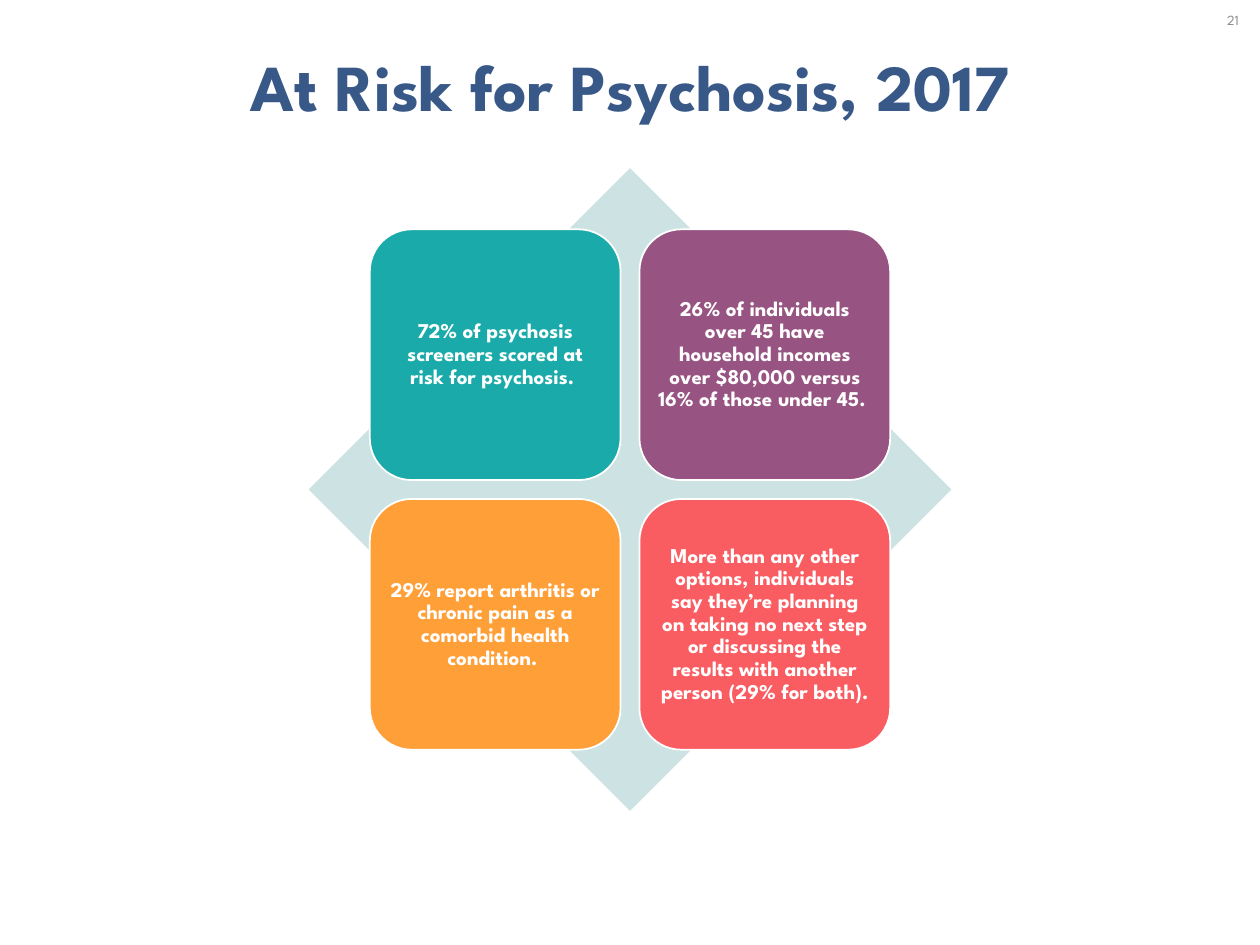
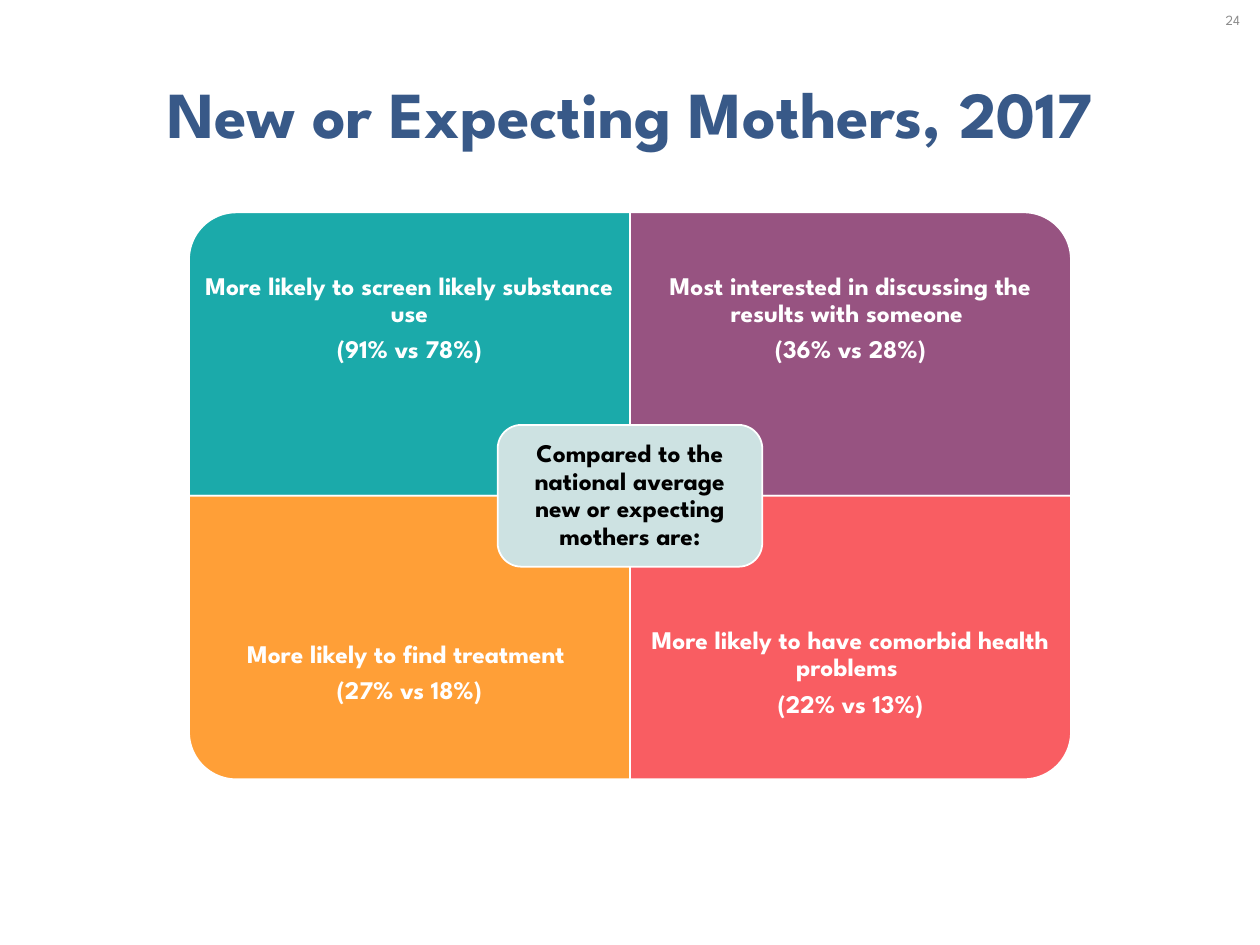
from pptx import Presentation
from pptx.dml.color import RGBColor
from pptx.enum.shapes import MSO_SHAPE
from pptx.enum.text import MSO_ANCHOR, PP_ALIGN
from pptx.util import Inches, Pt

# Shared style
COLOURS = {
    "title": "385988", "number": "8C8C8C", "pale": "CDE2E2",
    "teal": "1BAAAA", "plum": "975381", "orange": "FF9F37", "coral": "F95D62",
    "white": "FFFFFF", "black": "000000",
}
QUADRANT_COLOURS = ("teal", "plum", "orange", "coral")
FONT = "League Spartan"
WIDTH, HEIGHT = 20, 15
CENTRE = WIDTH / 2


def colour(name):
    return RGBColor.from_string(COLOURS[name])


def write(box, paragraphs, size, ink, bold=True, inset=0.1, body=False):
    """Fill a box with centred paragraphs; body text is set tighter."""
    frame = box.text_frame
    frame.word_wrap = True
    frame.vertical_anchor = MSO_ANCHOR.MIDDLE
    frame.margin_left = frame.margin_right = Inches(inset)
    frame.margin_top = frame.margin_bottom = Inches(inset)
    for index, text in enumerate(paragraphs):
        para = frame.add_paragraph() if index else frame.paragraphs[0]
        para.alignment = PP_ALIGN.CENTER
        if body:
            para.line_spacing = 0.9
            para.space_after = Pt(round(size * 0.35))
        span = para.add_run()
        span.text = text
        span.font.name = FONT
        span.font.size = Pt(size)
        span.font.bold = bold
        span.font.color.rgb = colour(ink)


def add_text(page, left, top, width, height, paragraphs, size, ink, **style):
    box = page.shapes.add_textbox(
        Inches(left), Inches(top), Inches(width), Inches(height))
    write(box, paragraphs, size, ink, **style)


def add_block(page, kind, middle_x, middle_y, width, height, fill,
              outlined=True, turn=0):
    """Place a filled shape by its middle point."""
    block = page.shapes.add_shape(
        kind, Inches(middle_x - width / 2), Inches(middle_y - height / 2),
        Inches(width), Inches(height))
    block.shadow.inherit = False
    block.rotation = turn
    block.fill.solid()
    block.fill.fore_color.rgb = colour(fill)
    if outlined:
        block.line.color.rgb = colour("white")
        block.line.width = Pt(2)
    else:
        block.line.fill.background()
    return block


def add_page(deck, title, title_top, number):
    page = deck.slides.add_slide(deck.slide_layouts[6])
    title_width = 18.31
    add_text(page, (WIDTH - title_width) / 2, title_top, title_width, 1.45,
             [title], 75, "title")
    number_width = 0.86
    add_text(page, WIDTH - number_width, 0, number_width, 0.63, [number],
             16, "number", bold=False)
    return page


def quadrants(middle_y, step_x, step_y):
    """Yield row, column, middle point and colour of a two by two grid."""
    for index, fill in enumerate(QUADRANT_COLOURS):
        row, column = divmod(index, 2)
        yield (row, column, CENTRE + (column - 0.5) * step_x,
               middle_y + (row - 0.5) * step_y, fill)


# Four tiles on a diamond
def add_diamond_matrix(page, texts):
    middle_y, diamond, tile, gap = 7.77, 10.2, 3.98, 0.3
    add_block(page, MSO_SHAPE.DIAMOND, CENTRE, middle_y, diamond, diamond,
              "pale", outlined=False)
    step = tile + gap
    for text, (_, _, x, y, fill) in zip(texts, quadrants(middle_y, step, step)):
        block = add_block(page, MSO_SHAPE.ROUNDED_RECTANGLE, x, y, tile, tile, fill)
        write(block, [text], 24, "white", body=True)


# Four joined panels around a central label
def add_panel_matrix(page, texts, label):
    middle_y, width, height = 7.87, 7, 4.5
    text_height = height * 3 / 4
    turns = (270, 0, 180, 90)
    cells = quadrants(middle_y, width, height)
    for paragraphs, turn, (row, _, x, y, fill) in zip(texts, turns, cells):
        # A quarter turn swaps the sides of the unturned shape
        sides = (height, width) if turn % 180 else (width, height)
        add_block(page, MSO_SHAPE.ROUND_1_RECTANGLE, x, y, *sides, fill, turn=turn)
        text_top = y - height / 2 + row * (height - text_height)
        add_text(page, x - width / 2, text_top, width, text_height, paragraphs,
                 29, "white", inset=0.23, body=True)
    centre_label = add_block(page, MSO_SHAPE.ROUNDED_RECTANGLE, CENTRE, middle_y,
                             width * 0.6, height / 2, "pale")
    write(centre_label, [label], 29, "black", inset=0.12, body=True)


def main():
    deck = Presentation()
    deck.slide_width, deck.slide_height = Inches(WIDTH), Inches(HEIGHT)

    page = add_page(deck, "At Risk for Psychosis, 2017", 0.63, "21")
    add_diamond_matrix(page, [
        "72% of psychosis screeners scored at risk for psychosis. ",
        "26% of individuals over 45 have household incomes over $80,000 "
        "versus 16% of those under 45. ",
        "29% report arthritis or chronic pain as a comorbid health condition. ",
        "More than any other options, individuals say they’re planning on "
        "taking no next step or discussing the results with another person "
        "(29% for both).",
    ])

    page = add_page(deck, "New or Expecting Mothers, 2017", 1.05, "24")
    add_panel_matrix(page, [
        ["More likely to screen likely substance use", "(91% vs 78%)"],
        ["Most interested in discussing the results with someone ", "(36% vs 28%)"],
        ["More likely to find treatment ", "(27% vs 18%)"],
        ["More likely to have comorbid health problems ", "(22% vs 13%)"],
    ], "Compared to the national average new or expecting mothers are:")

    deck.save("out.pptx")


if __name__ == "__main__":
    main()
